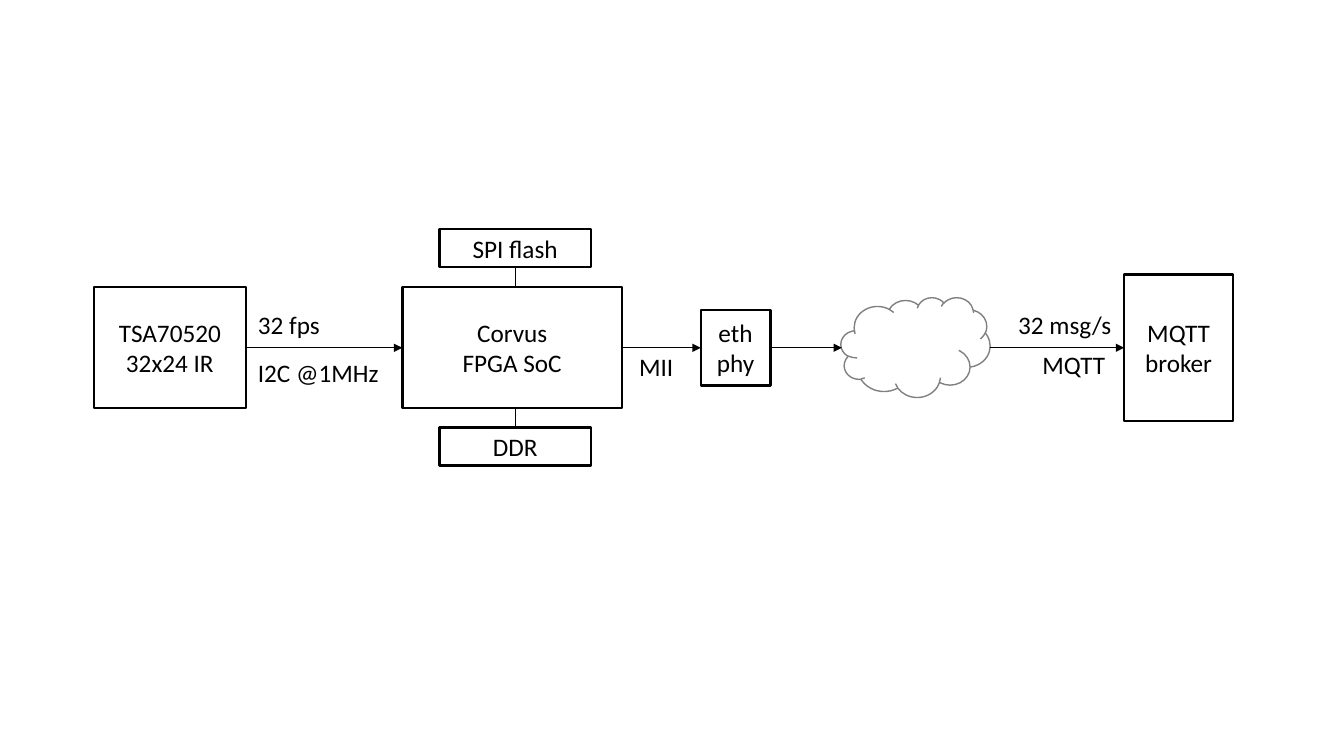
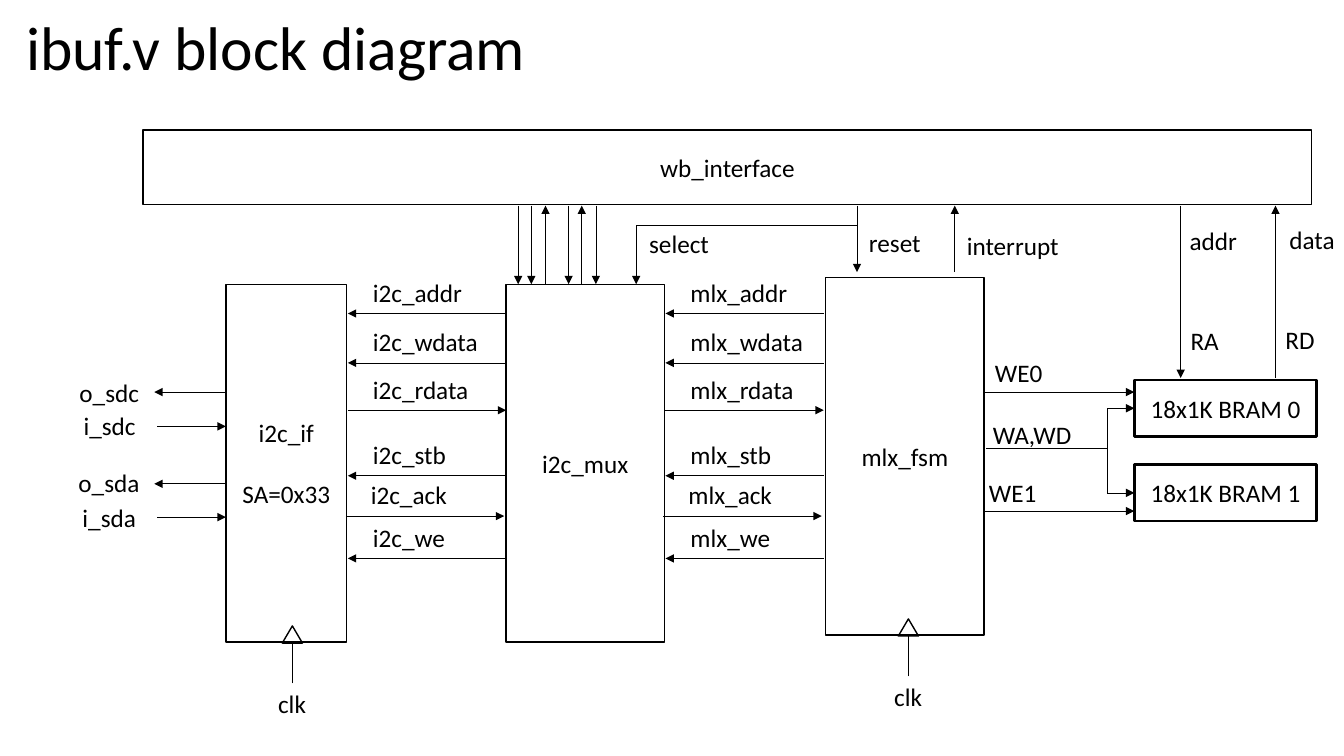
from pptx import Presentation
from pptx import util as u
from pptx.dml.color import RGBColor
from pptx.enum import shapes, text
from pptx.oxml.ns import qn
from lxml import etree
from dataclasses import dataclass


@dataclass(frozen=True)
class Theme:
    ink: RGBColor = RGBColor(0, 0, 0)
    gray: RGBColor = RGBColor(0x80, 0x80, 0x80)
    font: str = "Calibri"
    body: int = 18
    head: int = 44
    gap: int = 22
    thin: float = 0.5
    edge: float = 1
    bold: float = 1.75


look = Theme()
rect = shapes.MSO_SHAPE.RECTANGLE
peak = shapes.MSO_SHAPE.ISOSCELES_TRIANGLE


def block(slide, words, x, y, w, h=0.4, kind=None, edge=look.edge, ink=look.ink, size=look.body):
    """Add an outlined shape, or a plain label when no kind is given."""
    area = [u.Inches(n) for n in (x, y, w, h)]
    if kind is None:
        item = slide.shapes.add_textbox(*area)
    else:
        item = slide.shapes.add_shape(kind, *area)
        item.shadow.inherit = False
        item.fill.background()
        item.line.color.rgb = ink
        item.line.width = u.Pt(edge)
    frame = item.text_frame
    frame.word_wrap = kind is not None
    frame.vertical_anchor = text.MSO_ANCHOR.MIDDLE if kind else text.MSO_ANCHOR.TOP
    if words:
        frame.text = words
        for para in frame.paragraphs:
            para.alignment = text.PP_ALIGN.CENTER if kind else text.PP_ALIGN.LEFT
            for run in para.runs:
                run.font.name = look.font
                run.font.size = u.Pt(size)
                run.font.color.rgb = look.ink
    return item


def wire(slide, x1, y1, x2, y2, arrow=True):
    """Add a thin straight line, with an arrowhead at its end."""
    ends = [u.Inches(n) for n in (x1, y1, x2, y2)]
    item = slide.shapes.add_connector(shapes.MSO_CONNECTOR.STRAIGHT, *ends)
    item.line.color.rgb = look.ink
    item.line.width = u.Pt(look.thin)
    if arrow:
        etree.SubElement(item.line._get_or_add_ln(), qn("a:tailEnd"), type="triangle")
    etree.SubElement(item._element.spPr, qn("a:effectLst"))
    return item


deck = Presentation()
deck.slide_width = u.Inches(13.33)
deck.slide_height = u.Inches(7.5)
blank = deck.slide_layouts[6]

# Slide 1: system chain, centred on one axis
slide = deck.slides.add_slide(blank)
mid = 3.45
chain = []
for words, x, w, h in [
    ("TSA70520\n32x24 IR", 0.93, 1.51, 1.2),
    ("Corvus\nFPGA SoC", 3.99, 2.18, 1.2),
    ("eth\nphy", 6.95, 0.69, 0.75),
    ("MQTT broker", 11.15, 1.08, 1.45),
]:
    chain.append(block(slide, words, x, mid - h / 2, w, h, rect, look.bold))
sensor, soc, phy, broker = chain
block(slide, "", 8.34, 2.95, 1.48, 0.99, shapes.MSO_SHAPE.CLOUD, look.edge, look.gray)

# Memories above and below the SoC
flash = block(slide, "SPI flash", 4.36, 2.27, 1.5, 0.38, rect, look.bold)
ddr = block(slide, "DDR", 4.36, 4.24, 1.5, 0.38, rect, look.bold)
wire(slide, 5.11, 2.65, 5.11, 2.85, False).begin_connect(flash, 2)
wire(slide, 5.11, 4.05, 5.11, 4.24, False).end_connect(ddr, 0)

# Links along the axis
for left, right, x1, x2 in [
    (sensor, soc, 2.44, 3.99),
    (soc, phy, 6.17, 6.95),
    (phy, None, 7.64, 8.35),
    (None, broker, 9.82, 11.15),
]:
    link = wire(slide, x1, mid, x2, mid)
    if left:
        link.begin_connect(left, 3)
    if right:
        link.end_connect(right, 1)

for words, x, y, w in [
    ("32 fps", 2.46, 3.02, 0.82),
    ("I2C @1MHz", 2.46, 3.5, 1.41),
    ("MII", 6.24, 3.44, 0.54),
    ("32 msg/s", 10, 3.02, 1.19),
    ("MQTT", 10.24, 3.42, 0.86),
]:
    block(slide, words, x, y, w)

# Slide 2: block diagram
slide = deck.slides.add_slide(blank)
title = block(slide, "ibuf.v block diagram", 0.16, 0.12, 11.5, 0.86, size=look.head)
title.text_frame.word_wrap = True
title.text_frame.paragraphs[0].line_spacing = 0.9

# Main blocks
block(slide, "wb_interface", 1.42, 1.29, 11.59, 0.74, rect)
port = block(slide, "i2c_if\nSA=0x33", 2.24, 2.82, 1.2, 3.55, rect)
port.text_frame.paragraphs[1].space_before = u.Pt(look.gap)
block(slide, "i2c_mux", 5.02, 2.82, 1.57, 3.55, rect)
block(slide, "mlx_fsm", 8.19, 2.75, 1.57, 3.55, rect)

# Clock inputs
for x, y in [(2.9, 6.37), (9.01, 6.3)]:
    block(slide, "", x - 0.1, y - 0.16, 0.2, 0.17, peak)
    wire(slide, x, y + 0.41, x, y, False)
    block(slide, "clk", x - 0.24, y + 0.41, 0.48)

# Serial pins
for name, x, top, y, w in [
    ("o_sdc", 0.69, 3.69, 3.89, 0.8),
    ("i_sdc", 0.73, 4.02, 4.23, 0.72),
    ("o_sda", 0.68, 4.59, 4.8, 0.81),
    ("i_sda", 0.72, 4.93, 5.13, 0.74),
]:
    block(slide, name, x, top, w)
    ends = (2.24, 1.53) if name.startswith("o") else (1.56, 2.24)
    wire(slide, ends[0], y, ends[1], y)

# Two buses with the same signals
for bus, x, more in [("i2c", 3.45, 0), ("mlx", 6.6, 0.08)]:
    for name, y, w, right in [
        ("addr", 3.11, 1.1, False),
        ("wdata", 3.6, 1.25, False),
        ("rdata", 4.07, 1.16, True),
        ("stb", 4.72, 0.93, False),
        ("ack", 5.12, 0.96, True),
        ("we", 5.54, 0.93, False),
    ]:
        shift = -0.02 if name == "ack" else 0
        block(slide, f"{bus}_{name}", x + 0.15 + shift, y - 0.41, w + more)
        ends = (x + shift, x + 1.57 + shift)
        wire(slide, ends[not right], y, ends[right], y)

# Wires between the interface and the blocks below
for x, low, down in [
    (5.14, 2.82, True), (5.27, 2.82, True), (5.41, 2.82, False),
    (5.64, 2.82, True), (5.77, 2.82, False), (5.91, 2.82, True),
    (8.5, 2.7, True), (9.47, 2.7, False),
    (11.71, 3.75, True), (12.65, 3.75, False),
]:
    ends = (2.04, low)
    wire(slide, x, ends[not down], x, ends[down])
wire(slide, 6.31, 2.24, 8.5, 2.24, False)
wire(slide, 6.31, 2.24, 6.31, 2.82)

# Memory banks and their shared write bus
for bank, y in enumerate((3.77, 4.61)):
    ram = block(slide, f"18x1K BRAM {bank}", 11.25, y, 1.81, 0.56, rect, look.bold)
    wire(slide, 10.98, y + 0.28, 11.25, y + 0.28).end_connect(ram, 1)
wire(slide, 10.98, 4.05, 10.98, 4.89, False)
wire(slide, 9.78, 4.45, 10.98, 4.45, False)
for y in (3.89, 5.07):
    wire(slide, 9.76, y, 11.25, y)

# Signal names
for name, x, y, w in [
    ("select", 6.34, 2.22, 0.8),
    ("reset", 8.52, 2.21, 0.72),
    ("interrupt", 9.49, 2.24, 1.12),
    ("addr", 11.7, 2.19, 0.68),
    ("data", 12.69, 2.18, 0.66),
    ("RA", 11.71, 3.18, 0.48),
    ("RD", 12.65, 3.17, 0.49),
    ("WE0", 9.77, 3.5, 0.68),
    ("WA,WD", 9.75, 4.11, 0.99),
    ("WE1", 9.71, 4.69, 0.68),
]:
    block(slide, name, x, y, w)

deck.save("out.pptx")
